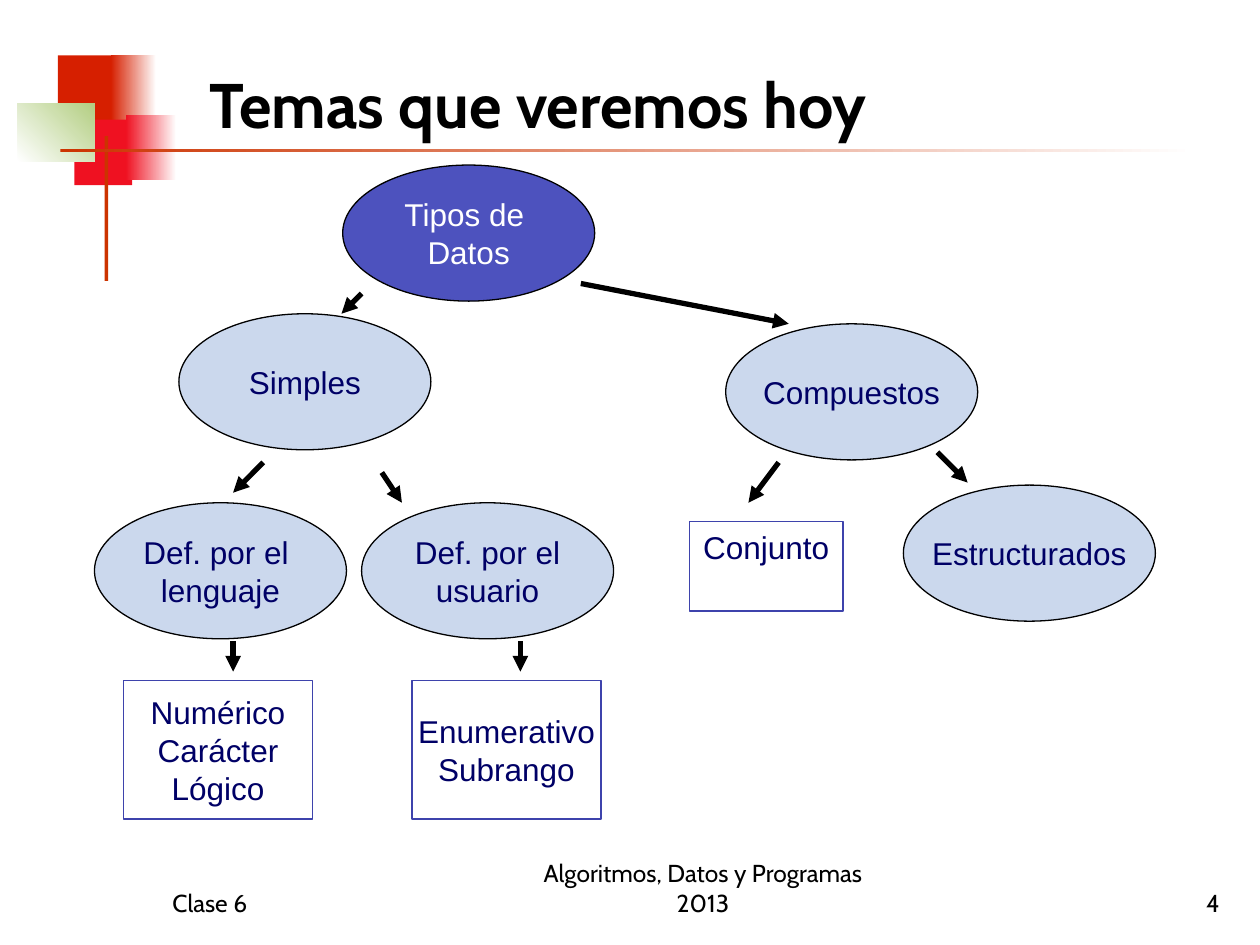
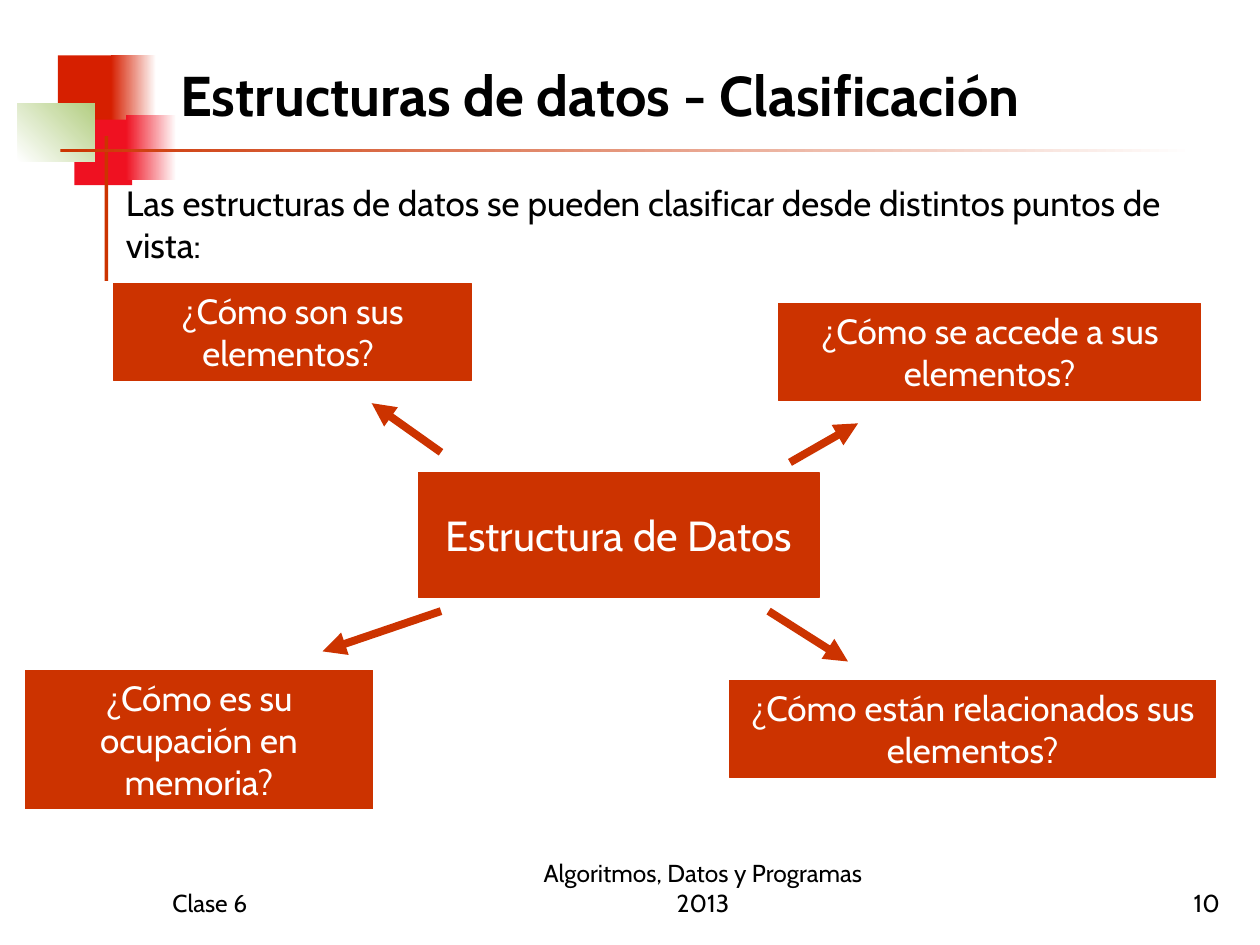
from lxml.etree import SubElement
from pptx import Presentation
from pptx.dml.color import RGBColor
from pptx.enum.shapes import MSO_CONNECTOR, MSO_SHAPE
from pptx.enum.text import MSO_ANCHOR, MSO_AUTO_SIZE, PP_ALIGN
from pptx.oxml.ns import qn
from pptx.util import Inches, Pt

BLACK = RGBColor(0x00, 0x00, 0x00)
WHITE = RGBColor(0xFF, 0xFF, 0xFF)
NAVY = RGBColor(0x00, 0x00, 0x66)
INDIGO = RGBColor(0x4D, 0x52, 0xBE)
BORDER_BLUE = RGBColor(0x3E, 0x43, 0xAC)
PALE_BLUE = RGBColor(0xCB, 0xD8, 0xED)
BRICK = RGBColor(0xCC, 0x33, 0x00)
SCARLET = RGBColor(0xD6, 0x1F, 0x00)
CRIMSON = RGBColor(0xEF, 0x11, 0x21)
GREEN = RGBColor(0xB3, 0xCE, 0x82)

LEFT, CENTER, RIGHT = PP_ALIGN.LEFT, PP_ALIGN.CENTER, PP_ALIGN.RIGHT
TOP, MIDDLE, BOTTOM = MSO_ANCHOR.TOP, MSO_ANCHOR.MIDDLE, MSO_ANCHOR.BOTTOM

# (left, top, width, height), colours, gradient angle
BANDS = [
    ((0.46, 0.44, 0.48, 0.52), (SCARLET,), 0),
    ((0.88, 0.44, 0.36, 0.52), (SCARLET, WHITE), 0),
    ((0.59, 0.95, 0.46, 0.52), (CRIMSON,), 0),
    ((1.0, 0.91, 0.4, 0.52), (CRIMSON, WHITE), 0),
    ((0.14, 0.82, 0.61, 0.46), (WHITE, GREEN), 45),
    ((0.83, 1.08, 0.03, 1.15), (BRICK,), 0),
    ((0.48, 1.18, 9, 0.03), (BRICK, WHITE), 0),
]

FOOTERS = [
    ("Clase 6", (1.27, 6.83, 2.08, 0.5), LEFT),
    ("Algoritmos, Datos y Programas 2013", (4, 6.83, 3.16, 0.5), CENTER),
    ("{number}", (7.7, 6.83, 2.08, 0.5), RIGHT),
]

TITLE_FONT = {"name": "Cabin", "bold": True}
FOOTER_FONT = {"name": "Cabin", "size": Pt(14)}
TREE_FONT = {"name": "Arial", "size": Pt(18)}
QUESTION_FONT = {"name": "Cabin", "size": Pt(20)}
CORE_FONT = {"name": "Cabin", "size": Pt(24)}

TYPES = {
    "title": ("Temas que veremos hoy", (1.56, -0.08, 7.65, 1.25), 36),
    "number": 4,
    "root": ("Tipos de \nDatos", 2.72, 1.31),
    "branches": [
        ("Simples", 1.42, 2.49),
        ("Compuestos", 5.76, 2.57),
        ("Def. por el \nlenguaje", 0.75, 3.99),
        ("Def. por el\nusuario", 2.87, 3.99),
        ("Estructurados", 7.17, 3.85),
    ],
    "leaves": [
        ("Numérico\nCarácter\nLógico", (0.98, 5.4, 1.5, 1.1), MIDDLE),
        ("Enumerativo\nSubrango", (3.27, 5.4, 1.5, 1.1), MIDDLE),
        ("Conjunto", (5.47, 4.14, 1.22, 0.71), TOP),
    ],
    "arrows": [
        (2.87, 2.33, 2.71, 2.49),
        (4.61, 2.25, 6.26, 2.57),
        (2.09, 3.67, 1.85, 3.91),
        (3.03, 3.75, 3.19, 3.99),
        (1.85, 5.09, 1.85, 5.33),
        (4.13, 5.09, 4.13, 5.33),
        (6.18, 3.67, 5.94, 3.99),
        (7.44, 3.59, 7.68, 3.83),
    ],
}

STRUCTURES = {
    "title": ("Estructuras de datos - Clasificación", (1.33, 0.42, 8.05, 0.64), 32),
    "number": 10,
    "intro": (
        "Las estructuras de datos se pueden clasificar desde distintos puntos de vista:",
        (0.9, 1.39, 8.91, 0.77),
    ),
    "core": ("Estructura de Datos", (3.32, 3.75, 3.18, 0.99)),
    "questions": [
        ("¿Cómo son sus elementos? ", (0.9, 2.25, 2.84, 0.77)),
        ("¿Cómo es su ocupación en memoria?", (0.2, 5.32, 2.76, 1.1)),
        ("¿Cómo se accede a sus elementos?", (6.18, 2.41, 3.35, 0.77)),
        ("¿Cómo están relacionados sus elementos?", (5.79, 5.4, 3.86, 0.77)),
    ],
    "arrows": [
        (3.5, 3.59, 2.95, 3.2),
        (3.5, 4.85, 2.56, 5.17),
        (6.1, 4.85, 6.73, 5.25),
        (6.27, 3.67, 6.81, 3.36),
    ],
}

NODE_SIZE = (2, 1.08)


def inches(values):
    """Turn numbers into lengths."""
    return [Inches(value) for value in values]


def apply(target, formats):
    """Set each format value on the target."""
    for attribute, value in formats.items():
        setattr(target, attribute, value)


def write(shape, text, font, color, align=CENTER, anchor=MIDDLE, wrap=True):
    """Put formatted text, one paragraph per line, into a shape."""
    frame = shape.text_frame
    frame.text = text
    apply(frame, {"word_wrap": wrap, "auto_size": MSO_AUTO_SIZE.NONE,
                  "vertical_anchor": anchor})
    for paragraph in frame.paragraphs:
        paragraph.alignment = align
        for run in paragraph.runs:
            apply(run.font, font)
            run.font.color.rgb = color


def add_label(slide, text, box, font, align, anchor):
    """Add wrapped black text without a frame."""
    label = slide.shapes.add_textbox(*inches(box))
    write(label, text, font, BLACK, align, anchor)


def add_block(slide, kind, box, fill, border=None):
    """Add a filled shape with an optional thin border."""
    block = slide.shapes.add_shape(kind, *inches(box))
    block.shadow.inherit = False
    if len(fill) == 1:
        block.fill.solid()
        block.fill.fore_color.rgb = fill[0]
    else:
        block.fill.gradient()
        for stop, color, position in zip(block.fill.gradient_stops, fill, (0, 1)):
            stop.color.rgb = color
            stop.position = position
    if border is None:
        block.line.fill.background()
    else:
        block.line.color.rgb = border
        block.line.width = Pt(0.75)
    return block


def add_arrow(slide, ends, color, width):
    """Add a straight arrow with a triangular head."""
    arrow = slide.shapes.add_connector(MSO_CONNECTOR.STRAIGHT, *inches(ends))
    arrow.line.color.rgb = color
    arrow.line.width = Pt(width)
    properties = arrow.element.spPr
    SubElement(properties.find(qn("a:ln")), qn("a:tailEnd"), type="triangle")
    SubElement(properties, qn("a:effectLst"))


def start_slide(deck, content):
    """Add a slide with the shared bands, title and footers."""
    slide = deck.slides.add_slide(deck.slide_layouts[5])
    for box, colors, angle in BANDS:
        band = add_block(slide, MSO_SHAPE.RECTANGLE, box, colors)
        if len(colors) > 1:
            band.fill.gradient_angle = angle
    heading, box, size = content["title"]
    title = slide.shapes.title
    apply(title, dict(zip(("left", "top", "width", "height"), inches(box))))
    write(title, heading, {**TITLE_FONT, "size": Pt(size)}, BLACK, LEFT, BOTTOM)
    for text, box, align in FOOTERS:
        add_label(slide, text.format(number=content["number"]), box,
                  FOOTER_FONT, align, BOTTOM)
    return slide


def build_types(deck):
    """Draw the tree of data types."""
    slide = start_slide(deck, TYPES)
    nodes = [(TYPES["root"], INDIGO, WHITE)]
    nodes += [(branch, PALE_BLUE, NAVY) for branch in TYPES["branches"]]
    for (text, left, top), fill, color in nodes:
        node = add_block(slide, MSO_SHAPE.OVAL, (left, top, *NODE_SIZE), (fill,), BLACK)
        write(node, text, TREE_FONT, color, wrap=False)
    for text, box, anchor in TYPES["leaves"]:
        leaf = add_block(slide, MSO_SHAPE.RECTANGLE, box, (WHITE,), BORDER_BLUE)
        write(leaf, text, TREE_FONT, NAVY, anchor=anchor, wrap=False)
    for ends in TYPES["arrows"]:
        add_arrow(slide, ends, BLACK, 3)


def build_structures(deck):
    """Draw the questions around the data structure."""
    slide = start_slide(deck, STRUCTURES)
    add_label(slide, *STRUCTURES["intro"], QUESTION_FONT, LEFT, TOP)
    blocks = [(*STRUCTURES["core"], CORE_FONT, MIDDLE, False)]
    blocks += [(*question, QUESTION_FONT, TOP, True) for question in STRUCTURES["questions"]]
    for text, box, font, anchor, wrap in blocks:
        block = add_block(slide, MSO_SHAPE.RECTANGLE, box, (BRICK,), BRICK)
        write(block, text, font, WHITE, anchor=anchor, wrap=wrap)
    for ends in STRUCTURES["arrows"]:
        add_arrow(slide, ends, BRICK, 4.5)


def main():
    """Build and save the deck."""
    deck = Presentation()
    deck.slide_width, deck.slide_height = inches((10, 7.5))
    build_types(deck)
    build_structures(deck)
    deck.save("out.pptx")


if __name__ == "__main__":
    main()
